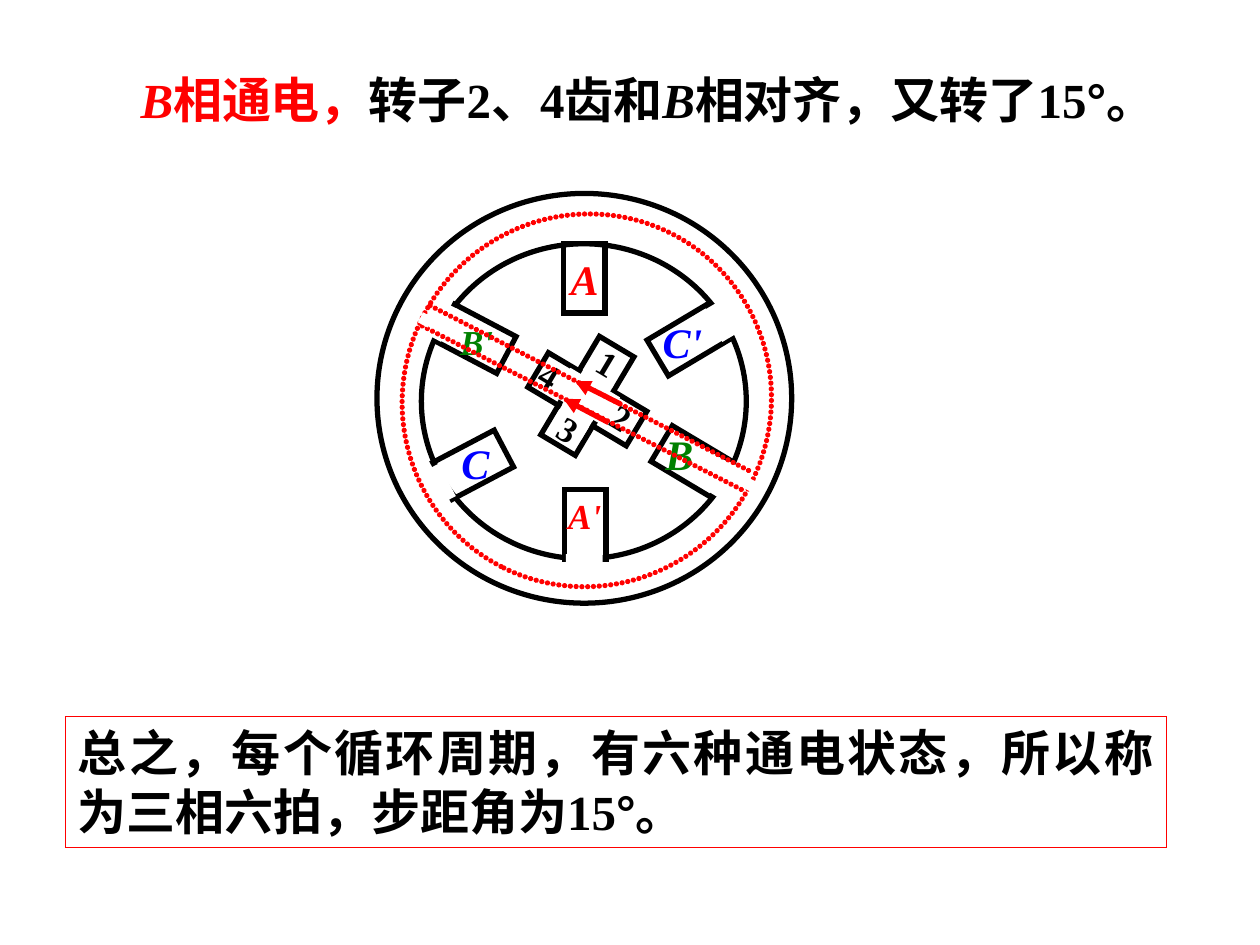
from collections import namedtuple

from lxml.etree import SubElement
from pptx import Presentation
from pptx.dml.color import RGBColor
from pptx.enum.dml import MSO_LINE
from pptx.enum.shapes import MSO_CONNECTOR, MSO_SHAPE
from pptx.enum.text import MSO_ANCHOR, MSO_AUTO_SIZE, PP_ALIGN
from pptx.oxml.ns import qn
from pptx.util import Cm, Pt

COLORS = {"red": "FF0000", "green": "008000", "blue": "0000FF", "black": "000000", "white": "FFFFFF"}
SERIF = "Times New Roman"
ROTOR_ANGLE = 30.8
FLUX_ANGLE = 297.3

Box = namedtuple("Box", "left top width height")
Run = namedtuple("Run", "text color italic font spacing", defaults=("black", False, SERIF, 0))

TEETH = [
    ((4.18, 1.71), 0, None),
    ((4.20, 6.67), 0, (4.18, 7.56)),
    ((6.26, 2.96), 59.2, (7.02, 2.53)),
    ((1.99, 2.93), 297.8, (1.21, 2.53)),
    ((6.34, 5.40), 120.8, (7.10, 5.83)),
    ((1.94, 5.47), 62.2, (1.16, 5.91)),
]
PHASE_LABELS = [
    ("C", (2.20, 5.44), (1.50, 1.27), 24, "blue"),
    ("A'", (4.19, 6.50), (1.17, 1.12), 20, "red"),
    ("B", (6.10, 5.24), (1.07, 1.27), 24, "green"),
    ("B'", (2.01, 3.00), (1.17, 1.12), 20, "green"),
    ("C'", (6.16, 3.00), (1.30, 1.27), 24, "blue"),
    ("A", (4.19, 1.73), (1.07, 1.27), 24, "red"),
]
ROTOR_LABELS = [("3", (3.86, 4.77)), ("4", (3.48, 3.67)), ("1", (4.65, 3.43)), ("2", (4.93, 4.52))]
FLUX_LINES = [((0.91, 2.67), (7.39, 5.99)), ((1.07, 2.26), (7.54, 5.61))]
FLUX_ARROWS = [((3.76, 4.14), (4.67, 4.62)), ((3.99, 3.78), (4.90, 4.24))]
FLUX_GAPS = [(7.53, 5.88), (0.98, 2.55)]


def color(name):
    """Return the named colour."""
    return RGBColor.from_string(COLORS[name])


def centred(box, centre, size):
    """Return the box of a part from its centre within the given box."""
    return Box(box.left + centre[0] - size[0] / 2, box.top + centre[1] - size[1] / 2, *size)


def add_outline(slide, kind, box, line=None, fill=None, width=3, angle=0):
    """Add a preset shape with an optional sharp-cornered line and fill."""
    shape = slide.shapes.add_shape(kind, *map(Cm, box))
    shape.shadow.inherit = False
    shape.rotation = angle
    if fill:
        shape.fill.solid()
        shape.fill.fore_color.rgb = color(fill)
    else:
        shape.fill.background()
    if line:
        shape.line.color.rgb = color(line)
        shape.line.width = Pt(width)
        SubElement(shape.line._get_or_add_ln(), qn("a:miter"), lim="800000")
    else:
        shape.line.fill.background()
    return shape


def make_dotted(line):
    """Give a line closely set round dots."""
    line.dash_style = MSO_LINE.ROUND_DOT
    outline = line._get_or_add_ln()
    outline.set("cap", "rnd")
    preset = outline.find(qn("a:prstDash"))
    dash = SubElement(outline, qn("a:custDash"))
    SubElement(dash, qn("a:ds"), d="100000", sp="10000")
    outline.replace(preset, dash)


def add_line(slide, box, start, end):
    """Add a red straight line between two points within the box."""
    points = (box.left + start[0], box.top + start[1], box.left + end[0], box.top + end[1])
    connector = slide.shapes.add_connector(MSO_CONNECTOR.STRAIGHT, *map(Cm, points))
    connector.line.color.rgb = color("red")
    connector.line.width = Pt(3)
    SubElement(connector._element.spPr, qn("a:effectLst"))
    return connector


def write_runs(shape, runs, size, wrap=True, align=PP_ALIGN.LEFT):
    """Write bold runs into the first paragraph of a shape."""
    frame = shape.text_frame
    frame.word_wrap = wrap
    frame.auto_size = MSO_AUTO_SIZE.SHAPE_TO_FIT_TEXT
    frame.vertical_anchor = MSO_ANCHOR.TOP
    paragraph = frame.paragraphs[0]
    paragraph.alignment = align
    for part in runs:
        run = paragraph.add_run()
        run.text = part.text
        run.font.size = Pt(size)
        run.font.name = part.font
        run.font.bold = True
        run.font.italic = part.italic
        run.font.color.rgb = color(part.color)
        if part.spacing:
            run._r.get_or_add_rPr().set("spc", str(part.spacing))
    return paragraph


def add_label(slide, box, run, size, angle=0):
    """Add a short label in its own text box."""
    label = slide.shapes.add_textbox(*map(Cm, box))
    label.rotation = angle
    write_runs(label, [run], size, wrap=False)


def add_stator(slide, box):
    """Draw the stator rings, teeth and phase labels."""
    add_outline(slide, MSO_SHAPE.OVAL, centred(box, (4.17, 4.19), (6.55, 6.35)), "black")
    add_outline(slide, MSO_SHAPE.OVAL, box, "black")
    for centre, angle, opening in TEETH:
        add_outline(slide, MSO_SHAPE.RECTANGLE, centred(box, centre, (0.84, 1.40)), "black", angle=angle)
        if opening:
            add_outline(slide, MSO_SHAPE.RECTANGLE, centred(box, opening, (0.74, 0.58)), fill="white", angle=angle)
    for text, centre, extent, size, name in PHASE_LABELS:
        add_label(slide, centred(box, centre, extent), Run(text, name, True), size)


def add_rotor(slide, box):
    """Draw the four-tooth rotor and its numbers."""
    for centre, turn in [((4.24, 4.08), 0), ((4.24, 4.15), 270)]:
        bar = centred(box, centre, (0.81, 2.31))
        add_outline(slide, MSO_SHAPE.RECTANGLE, bar, "black", angle=ROTOR_ANGLE + turn)
    for centre, extent, line in [((4.15, 4.24), (0.69, 1.27), None), ((4.23, 4.10), (1.14, 0.64), "white")]:
        core = centred(box, centre, extent)
        add_outline(slide, MSO_SHAPE.RECTANGLE, core, line, "white", 0.75, ROTOR_ANGLE)
    for text, centre in ROTOR_LABELS:
        add_label(slide, centred(box, centre, (0.86, 1.12)), Run(text), 20, ROTOR_ANGLE)


def add_flux(slide, box):
    """Draw the dotted flux path with its direction arrows."""
    ring = add_outline(slide, MSO_SHAPE.OVAL, centred(box, (4.23, 4.17), (7.54, 7.42)), "red", angle=FLUX_ANGLE)
    make_dotted(ring.line)
    for start, end in FLUX_LINES:
        make_dotted(add_line(slide, box, start, end).line)
    for centre in FLUX_GAPS:
        gap = centred(box, centre, (0.23, 0.23))
        add_outline(slide, MSO_SHAPE.RECTANGLE, gap, fill="white", angle=FLUX_ANGLE)
    for tip, tail in FLUX_ARROWS:
        arrow = add_line(slide, box, tip, tail)
        SubElement(arrow.line._get_or_add_ln(), qn("a:headEnd"), type="triangle")


def add_heading(slide, box):
    """Add the opening statement with an indented first line."""
    heading = slide.shapes.add_textbox(*map(Cm, box))
    runs = [
        Run("B", "red", True), Run("相通电，", "red"), Run("转子2、4齿和"), Run("B", italic=True),
        Run("相对齐，又转了15"), Run("°", font="Arial"), Run("。"),
    ]
    paragraph = write_runs(heading, runs, 28)
    paragraph._p.get_or_add_pPr().set("indent", str(Pt(14)))


def add_summary(slide, box):
    """Add the framed conclusion."""
    frame = add_outline(slide, MSO_SHAPE.RECTANGLE, box, "red", width=0.75)
    runs = [
        Run("总之，每个循环周期，有六种通电状态，所以称", spacing=40),
        Run("为三相六拍，步距角为15"), Run("°", font="Arial"), Run("。"),
    ]
    write_runs(frame, runs, 28, align=PP_ALIGN.JUSTIFY)


def main():
    """Build and save the slide."""
    presentation = Presentation()
    presentation.slide_width, presentation.slide_height = Cm(25.4), Cm(19.05)
    slide = presentation.slides.add_slide(presentation.slide_layouts[6])
    motor = Box(7.6, 3.9, 8.36, 8.26)
    add_summary(slide, Box(1.32, 14.44, 22.2, 2.64))
    for add_part in (add_stator, add_rotor, add_flux):
        add_part(slide, motor)
    add_heading(slide, Box(2.09, 1.28, 21.97, 2.64))
    presentation.save("out.pptx")


if __name__ == "__main__":
    main()
